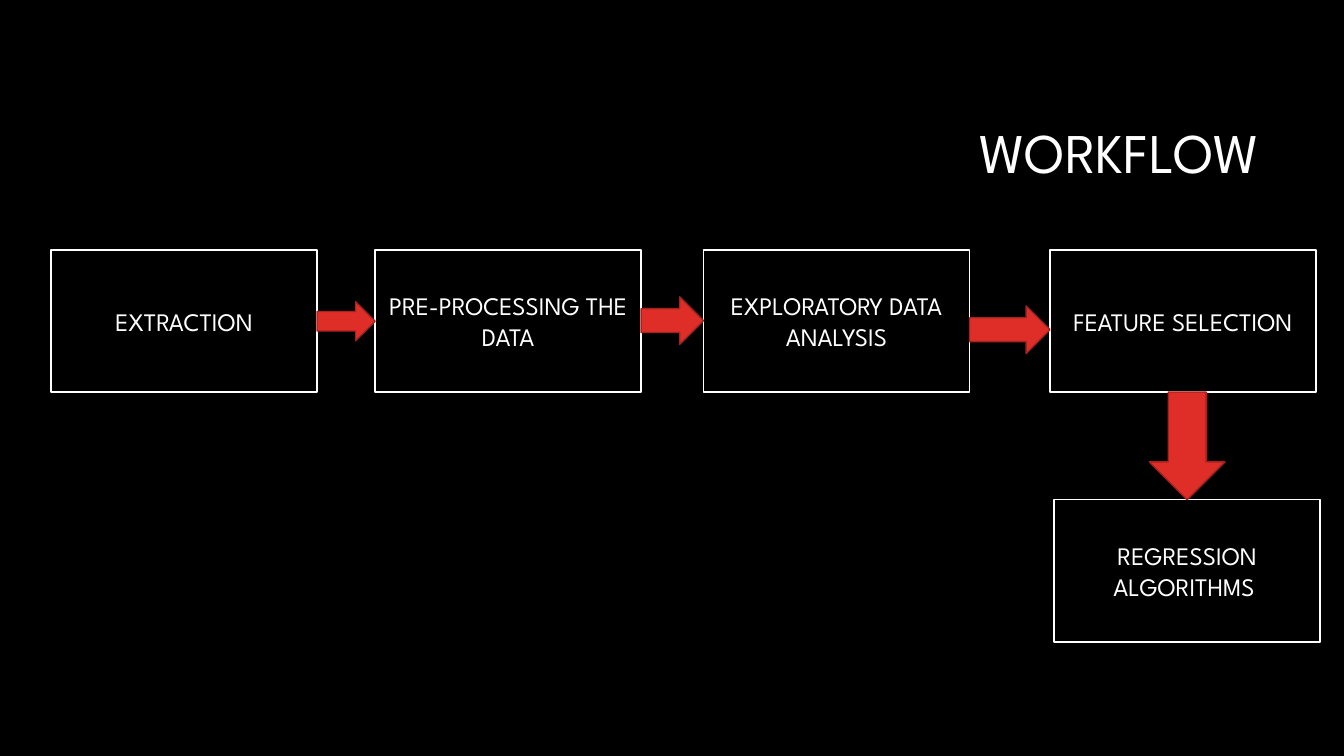
from dataclasses import dataclass

from pptx import Presentation
from pptx.dml.color import RGBColor
from pptx.enum.shapes import MSO_SHAPE as Shape
from pptx.enum.text import MSO_ANCHOR as Anchor, PP_ALIGN as Align
from pptx.util import Pt


@dataclass(frozen=True)
class Theme:
    font: str = "League Spartan"
    background: RGBColor = RGBColor(0x00, 0x00, 0x00)
    foreground: RGBColor = RGBColor(0xFF, 0xFF, 0xFF)
    arrow_fill: RGBColor = RGBColor(0xDF, 0x2E, 0x28)
    arrow_line: RGBColor = RGBColor(0xA5, 0x22, 0x1E)
    title_size: int = 40
    step_size: int = 18
    line_width: int = 1


THEME = Theme()
STEP_WIDTH, STEP_HEIGHT = 190, 101.5
ROW_TOP = 178.5
ROW_STEPS = [
    ("EXTRACTION", 36.5),
    ("PRE-PROCESSING THE DATA", 268),
    ("EXPLORATORY DATA ANALYSIS", 502.5),
    ("FEATURE SELECTION", 750),
]
# Top and height of the arrow in each gap of the row
ROW_ARROWS = [(215.5, 28), (212, 34), (218.5, 34)]
RESULT_LEFT, RESULT_TOP = 753, 357
DOWN_ARROW_WIDTH = 54


def set_text(shape, text, size, alignment):
    frame = shape.text_frame
    frame.word_wrap = True
    frame.vertical_anchor = Anchor.MIDDLE
    frame.text = text
    paragraph = frame.paragraphs[0]
    paragraph.alignment = alignment
    font = paragraph.runs[0].font
    font.name = THEME.font
    font.size = Pt(size)
    font.color.rgb = THEME.foreground
    return paragraph


def add_title(slide, text):
    box = slide.shapes.add_textbox(Pt(228), Pt(60.5), Pt(678.5), Pt(101.5))
    paragraph = set_text(box, text, THEME.title_size, Align.RIGHT)
    paragraph.line_spacing = 0.9


def add_block(slide, kind, left, top, width, height, fill, line):
    """Add a flat preset shape with a solid fill and outline."""
    shape = slide.shapes.add_shape(kind, Pt(left), Pt(top), Pt(width), Pt(height))
    shape.shadow.inherit = False
    shape.fill.solid()
    shape.fill.fore_color.rgb = fill
    shape.line.color.rgb = line
    shape.line.width = Pt(THEME.line_width)
    return shape


def add_step(slide, text, left, top):
    shape = add_block(slide, Shape.RECTANGLE, left, top, STEP_WIDTH, STEP_HEIGHT,
                      THEME.background, THEME.foreground)
    set_text(shape, text, THEME.step_size, Align.CENTER)


def add_arrow(slide, kind, left, top, width, height):
    add_block(slide, kind, left, top, width, height,
              THEME.arrow_fill, THEME.arrow_line)


def main():
    presentation = Presentation()
    presentation.slide_width, presentation.slide_height = Pt(960), Pt(540)
    slide = presentation.slides.add_slide(presentation.slide_layouts[6])
    slide.background.fill.solid()
    slide.background.fill.fore_color.rgb = THEME.background

    add_title(slide, "WORKFLOW")
    for text, left in ROW_STEPS:
        add_step(slide, text, left, ROW_TOP)
    add_step(slide, "REGRESSION ALGORITHMS ", RESULT_LEFT, RESULT_TOP)

    lefts = [left for _, left in ROW_STEPS]
    for left, next_left, (top, height) in zip(lefts, lefts[1:], ROW_ARROWS):
        start = left + STEP_WIDTH
        add_arrow(slide, Shape.RIGHT_ARROW, start, top, next_left - start, height)

    row_bottom = ROW_TOP + STEP_HEIGHT
    add_arrow(slide, Shape.DOWN_ARROW,
              RESULT_LEFT + (STEP_WIDTH - DOWN_ARROW_WIDTH) / 2, row_bottom,
              DOWN_ARROW_WIDTH, RESULT_TOP - row_bottom)

    presentation.save("out.pptx")


if __name__ == "__main__":
    main()
